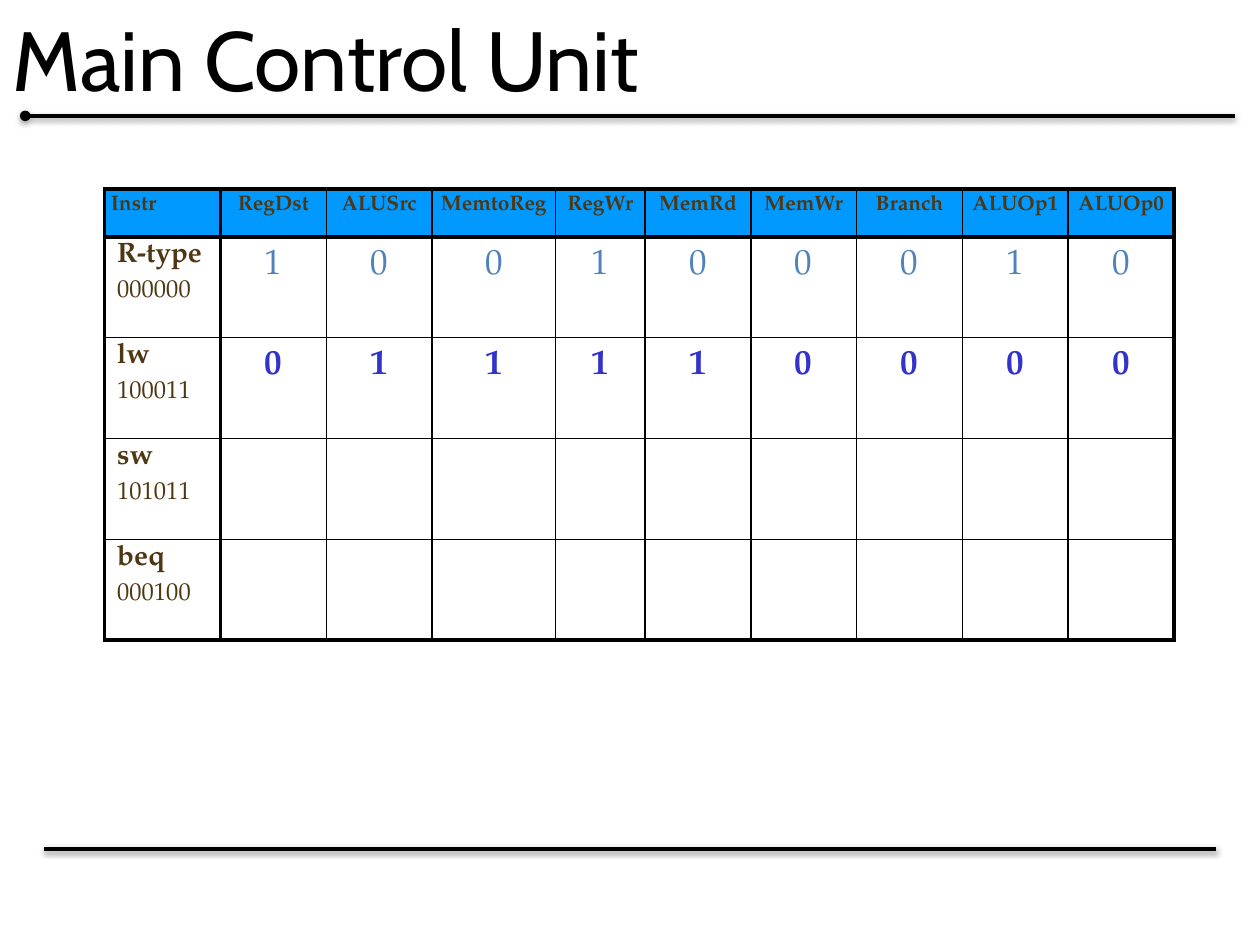
"""Build the Main Control Unit slide with its control-signal table."""
from dataclasses import dataclass

import lxml.etree
import pptx
import pptx.dml.color
import pptx.enum.shapes
import pptx.enum.text
import pptx.oxml
import pptx.oxml.ns
import pptx.util

W, H = 10, 7.5
COLS = [0.92, 0.84, 0.84, 0.98, 0.71] + [0.84] * 5
ROWS = [0.38] + [0.8] * 4
HEADERS = ["Instr", "RegDst", "ALUSrc", "MemtoReg", "RegWr",
           "MemRd", "MemWr", "Branch", "ALUOp1", "ALUOp0"]
INSTRUCTIONS = [
    ("R-type", "000000", "100100010"),
    ("lw", "100011", "011110000"),
    ("sw", "101011", ""),
    ("beq", "000100", ""),
]


@dataclass(frozen=True)
class Theme:
    """Fonts, colours, type sizes and line widths of the slide."""
    title_font: str = "Cabin"
    body_font: str = "TeX Gyre Pagella"
    ink: str = "000000"
    header_fill: str = "0099FF"
    label: str = "4E3712"
    r_type_bits: str = "4F81BD"
    lw_bits: str = "3333CC"
    title: int = 48
    header: int = 12
    name: int = 16
    opcode: int = 14
    bit: int = 20
    rule: float = 2
    heavy: float = 2.25
    thin: float = 1


T = Theme()


def style(p, size, color, font=T.body_font, bold=False):
    """Format every run of a paragraph."""
    for r in p.runs:
        r.font.name, r.font.size, r.font.bold = font, pptx.util.Pt(size), bold
        r.font.color.rgb = pptx.dml.color.RGBColor.from_string(color)


def add_title(s, text):
    """Add the title across the top of the slide."""
    sp = s.shapes.add_textbox(0, 0, pptx.util.Inches(W), pptx.util.Inches(0.92))
    tf = sp.text_frame
    tf.word_wrap = True
    tf.vertical_anchor = pptx.enum.text.MSO_ANCHOR.MIDDLE
    tf.text = text
    style(tf.paragraphs[0], T.title, T.ink, T.title_font)


def add_rule(s, x1, x2, y, head=False):
    """Add a horizontal rule with a soft shadow and an optional round head."""
    x1, x2, y = (pptx.util.Inches(v) for v in (x1, x2, y))
    sp = s.shapes.add_connector(pptx.enum.shapes.MSO_CONNECTOR.STRAIGHT, x1, y, x2, y)
    sp.line.width = pptx.util.Pt(T.rule)
    sp.line.color.rgb = pptx.dml.color.RGBColor.from_string(T.ink)
    if head:
        lxml.etree.SubElement(sp.line._get_or_add_ln(),
                              pptx.oxml.ns.qn("a:headEnd"), type="oval")
    sp._element.spPr.append(pptx.oxml.parse_xml(
        f'<a:effectLst {pptx.oxml.ns.nsdecls("a")}>'
        f'<a:outerShdw blurRad="{pptx.util.Pt(3.1)}" dist="{pptx.util.Pt(1)}" '
        f'dir="5400000" rotWithShape="0"><a:srgbClr val="{T.ink}">'
        '<a:alpha val="38000"/></a:srgbClr></a:outerShdw></a:effectLst>'))


def set_borders(cell, row, col):
    """Draw heavy lines around the table and its header row and column."""
    heavy = {
        "L": col < 2,
        "R": col in (0, len(COLS) - 1),
        "T": row < 2,
        "B": row in (0, len(ROWS) - 1),
    }
    tc_pr = cell._tc.get_or_add_tcPr()
    for i, (side, is_heavy) in enumerate(heavy.items()):
        width = pptx.util.Pt(T.heavy if is_heavy else T.thin)
        tc_pr.insert(i, pptx.oxml.parse_xml(
            f'<a:ln{side} {pptx.oxml.ns.nsdecls("a")} w="{width}"><a:solidFill>'
            f'<a:srgbClr val="{T.ink}"/></a:solidFill></a:ln{side}>'))


def fill_cell(cell, lines, inset=(0.1, 0.05), center=False):
    """Write (text, size, colour, bold) lines into a cell."""
    cell.margin_left = cell.margin_right = pptx.util.Inches(inset[0])
    cell.margin_top = cell.margin_bottom = pptx.util.Inches(inset[1])
    tf = cell.text_frame
    tf.text = "\n".join(line[0] for line in lines)
    for i, (p, (_, size, color, bold)) in enumerate(zip(tf.paragraphs, lines)):
        p.line_spacing = 0.9
        if i:
            p.space_before = pptx.util.Pt(7)
        if center:
            p.alignment = pptx.enum.text.PP_ALIGN.CENTER
        style(p, size, color, bold=bold)


def add_control_table(s):
    """Add the table of control signals for each instruction."""
    box = (pptx.util.Inches(v) for v in (0.83, 1.5, sum(COLS), sum(ROWS)))
    table = s.shapes.add_table(len(ROWS), len(COLS), *box).table
    table.first_row = table.horz_banding = False
    for column, width in zip(table.columns, COLS):
        column.width = pptx.util.Inches(width)
    for i, height in enumerate(ROWS):
        table.rows[i].height = pptx.util.Inches(height)
        for j in range(len(COLS)):
            cell = table.cell(i, j)
            if i:
                cell.fill.background()
            else:
                cell.fill.solid()
                cell.fill.fore_color.rgb = pptx.dml.color.RGBColor.from_string(T.header_fill)
            set_borders(cell, i, j)
    for j, text in enumerate(HEADERS):
        fill_cell(table.cell(0, j), [(text, T.header, T.label, True)],
                  (0.05, 0.05), center=j > 0)
    for i, (name, opcode, bits) in enumerate(INSTRUCTIONS, 1):
        fill_cell(table.cell(i, 0), [(name, T.name, T.label, True),
                                     (opcode, T.opcode, T.label, False)])
        is_lw = name == "lw"
        color = T.lw_bits if is_lw else T.r_type_bits
        for j, bit in enumerate(bits, 1):
            fill_cell(table.cell(i, j), [(bit, T.bit, color, is_lw)],
                      (0.1, 0.1), center=True)


def main():
    """Build and save the slide."""
    prs = pptx.Presentation()
    prs.slide_width, prs.slide_height = pptx.util.Inches(W), pptx.util.Inches(H)
    s = prs.slides.add_slide(prs.slide_layouts[6])
    add_rule(s, 0.02 * W, 0.98 * W, 0.92, head=True)
    add_rule(s, 0.965 * W, 0.035 * W, 6.74)
    add_title(s, "Main Control Unit")
    add_control_table(s)
    prs.save("out.pptx")


if __name__ == "__main__":
    main()
